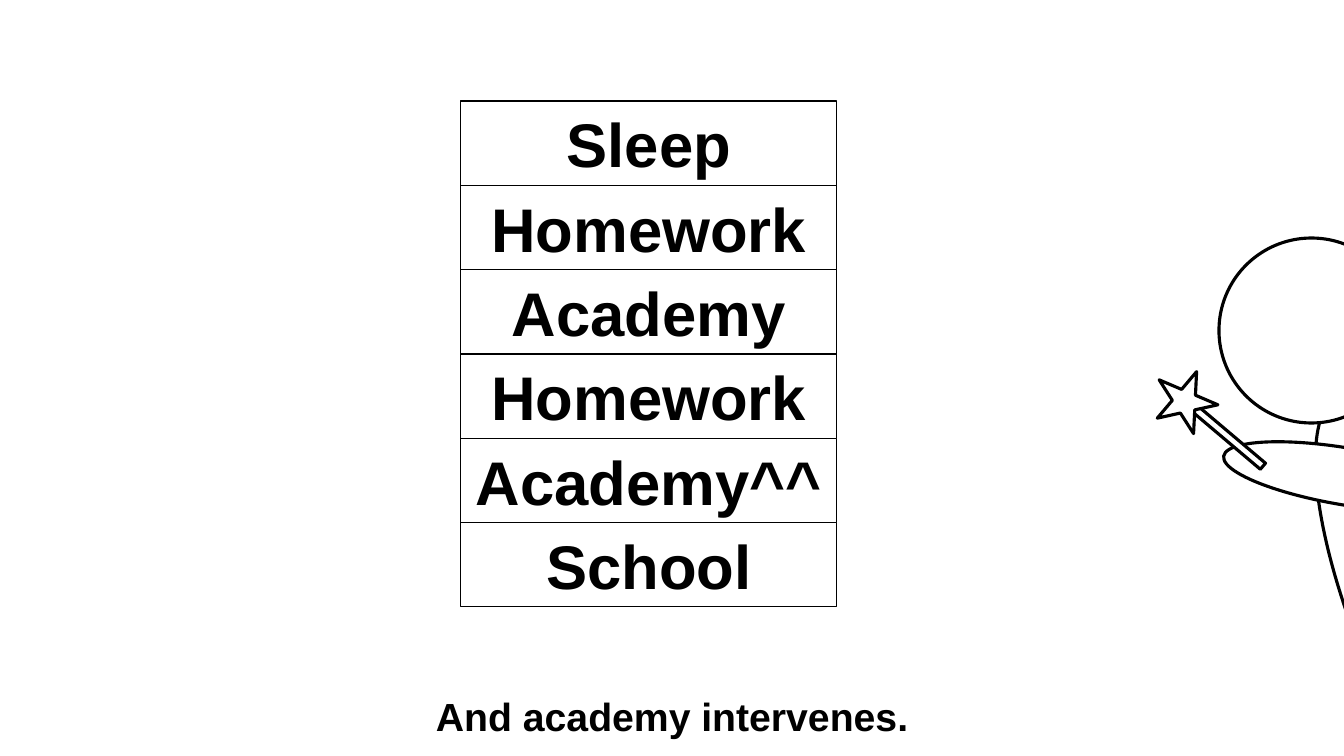
from pptx import Presentation
from pptx import util as u
from pptx.dml.color import RGBColor
from pptx.enum import shapes, text

PX = 914400 / 100.8
COLORS = {"ink": "000000", "paper": "FFFFFF"}
FONT = "Arial"
ACTIVITIES = ["Sleep", "Homework", "Academy", "Homework", "Academy^^", "School"]
STACK_TOP, STACK_BOTTOM = 101, 607


def px(*lengths):
    return [u.Emu(round(length * PX)) for length in lengths]


def color(name):
    return RGBColor.from_string(COLORS[name])


def write(shape, words, size, bold=True, ink="ink"):
    frame = shape.text_frame
    frame.word_wrap = True
    frame.auto_size = text.MSO_AUTO_SIZE.SHAPE_TO_FIT_TEXT
    para = frame.paragraphs[0]
    para.alignment = text.PP_ALIGN.CENTER
    span = para.add_run()
    span.text = words
    span.font.name = FONT
    span.font.size = u.Pt(size)
    span.font.bold = bold
    span.font.color.rgb = color(ink)


def add_outline(page, kind, place, weight, filled=True, rotation=0):
    shape = page.shapes.add_shape(kind, *px(*place))
    shape.shadow.inherit = False
    shape.rotation = rotation
    shape.line.color.rgb = color("ink")
    shape.line.width = u.Pt(weight)
    if filled:
        shape.fill.solid()
        shape.fill.fore_color.rgb = color("paper")
    else:
        shape.fill.background()
    return shape


def add_caption(page, words):
    box = page.shapes.add_textbox(*px(0, 687, 1344, 57))
    write(box, words, 28)


def add_stack(page):
    pitch = (STACK_BOTTOM - STACK_TOP) / len(ACTIVITIES)
    for row, activity in enumerate(ACTIVITIES):
        place = (461, STACK_TOP + row * pitch, 376, pitch)
        box = add_outline(page, shapes.MSO_SHAPE.RECTANGLE, place, 0.75, filled=row >= 4)
        write(box, activity, 44)


def add_wizard(page):
    kinds = shapes.MSO_SHAPE
    body = add_outline(page, kinds.CHORD, (1376, 365, 185, 604), 2.25, rotation=334.9)
    body.adjustments[0] = 27
    body.adjustments[1] = 80.71
    body._element.spPr.xfrm.set("flipV", "1")
    for kind, place, rotation in [
        (kinds.OVAL, (1219, 238, 185, 185), 334.9),
        (kinds.OVAL, (1222, 448, 247, 57), 9.5),
        (kinds.RECTANGLE, (1225, 393, 8, 89), 310.2),
        (kinds.STAR_5_POINT, (1152, 369, 61, 61), 310.2),
    ]:
        add_outline(page, kind, place, 2.25, rotation=rotation)


def main():
    deck = Presentation()
    deck.slide_width, deck.slide_height = px(1344, 756)
    page = deck.slides.add_slide(deck.slide_layouts[6])
    add_caption(page, "And academy intervenes.")
    add_stack(page)
    add_wizard(page)
    deck.save("out.pptx")


if __name__ == "__main__":
    main()
